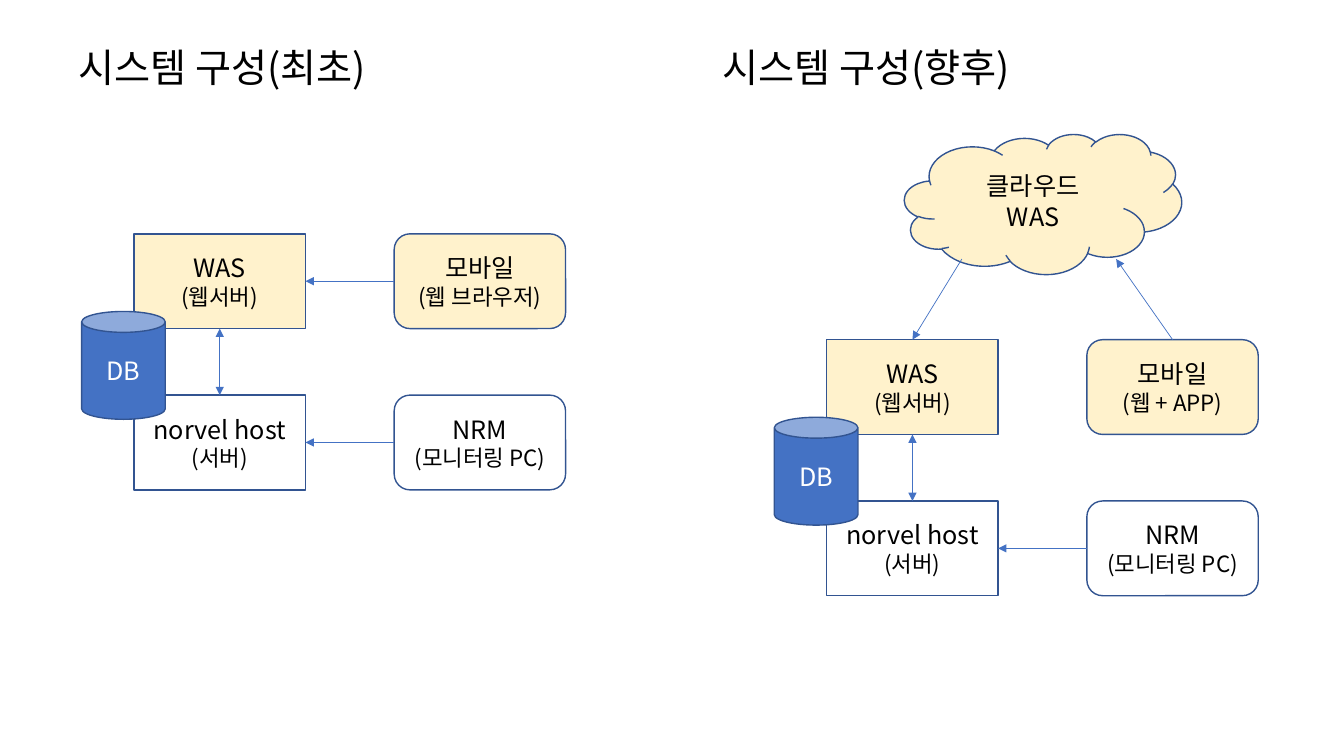
from lxml import etree
from pptx import Presentation
from pptx.dml import color
from pptx.enum import shapes, text
from pptx.oxml import ns
from pptx.util import Inches, Pt

COLORS = {"black": "000000", "white": "FFFFFF", "cream": "FFF2CC",
          "blue": "4472C4", "outline": "325491"}
FONT = "Noto Sans CJK KR"
KIND = shapes.MSO_SHAPE
NODE_WIDTH, NODE_HEIGHT, ROW_PITCH = 1.7, 0.94, 1.6
SERVER_X, CLIENT_X = 0.52, 3.1


def rgb(name):
    """Return the named colour."""
    return color.RGBColor.from_string(COLORS[name])


def write(shape, lines, ink="black", align=text.PP_ALIGN.CENTER):
    """Write (wording, size) lines as paragraphs of a shape."""
    frame = shape.text_frame
    frame.word_wrap = True
    frame.text = "\n".join(wording for wording, size in lines)
    for para, (wording, size) in zip(frame.paragraphs, lines):
        para.alignment = align
        para.font.name = FONT
        para.font.size = Pt(size)
        para.font.color.rgb = rgb(ink)


def add_node(page, kind, box, lines, fill=None, ink="black"):
    """Add an outlined shape with centred text."""
    shape = page.shapes.add_shape(kind, *map(Inches, box))
    shape.shadow.inherit = False
    if fill:
        shape.fill.solid()
        shape.fill.fore_color.rgb = rgb(fill)
    else:
        shape.fill.background()
    shape.line.color.rgb = rgb("outline")
    shape.line.width = Pt(1)
    frame = shape.text_frame
    frame.vertical_anchor = text.MSO_ANCHOR.MIDDLE
    frame.margin_left = frame.margin_right = Inches(0.12)
    write(shape, lines, ink)


def add_arrow(page, start, end, both=False):
    """Add a thin arrow, pointed at both ends if asked."""
    arrow = page.shapes.add_connector(
        shapes.MSO_CONNECTOR.STRAIGHT, *map(Inches, (*start, *end)))
    arrow.line.color.rgb = rgb("blue")
    arrow.line.width = Pt(0.5)
    line = arrow.line._get_or_add_ln()
    for tag in ("a:headEnd", "a:tailEnd") if both else ("a:tailEnd",):
        etree.SubElement(line, ns.qn(tag), type="triangle")
    etree.SubElement(arrow._element.spPr, ns.qn("a:effectLst"))


def add_title(page, left, top, wording):
    """Add the heading of one half of the slide."""
    box = page.shapes.add_textbox(*map(Inches, (left, top, 3.15, 0.57)))
    write(box, [(wording, 28)], align=text.PP_ALIGN.LEFT)


def add_system(page, left, top, mobile_note):
    """Add the servers, their clients and the database."""
    server, client = left + SERVER_X, left + CLIENT_X
    rows = [("WAS", "(웹서버)", "모바일", mobile_note, "cream"),
            ("norvel host", "(서버)", "NRM", "(모니터링 PC)", None)]
    for row, (name, note, device, device_note, fill) in enumerate(rows):
        y = top + row * ROW_PITCH
        add_node(page, KIND.RECTANGLE, (server, y, NODE_WIDTH, NODE_HEIGHT),
                 [(name, 18), (note, 16)], fill)
        add_node(page, KIND.ROUNDED_RECTANGLE,
                 (client, y, NODE_WIDTH, NODE_HEIGHT),
                 [(device, 18), (device_note, 16)], fill)
    middle = server + NODE_WIDTH / 2
    add_arrow(page, (middle, top + NODE_HEIGHT), (middle, top + ROW_PITCH), True)
    add_client_arrow(page, left, top + ROW_PITCH)
    add_node(page, KIND.CAN, (left, top + 0.77, 0.83, 1.07),
             [("DB", 18)], "blue", "white")


def add_client_arrow(page, left, top):
    """Link the client of a row to its server."""
    y = top + NODE_HEIGHT / 2
    add_arrow(page, (left + CLIENT_X, y), (left + SERVER_X + NODE_WIDTH, y))


def add_cloud(page, left, top):
    """Add the cloud above a system and link it to the top row."""
    add_node(page, KIND.CLOUD, (left + 1.29, top - 2.04, 2.75, 1.39),
             [("클라우드", 18), ("WAS", 18)], "cream")
    edge = top - 0.8
    add_arrow(page, (left + CLIENT_X + NODE_WIDTH / 2, top), (left + 3.39, edge))
    add_arrow(page, (left + 1.86, edge), (left + SERVER_X + NODE_WIDTH / 2, top))


def main():
    """Build the slide and save it."""
    deck = Presentation()
    deck.slide_width, deck.slide_height = Inches(13.33), Inches(7.5)
    page = deck.slides.add_slide(deck.slide_layouts[6])
    add_title(page, 0.68, 0.38, "시스템 구성(최초)")
    add_title(page, 7.07, 0.38, "시스템 구성(향후)")
    add_system(page, 0.81, 2.32, "(웹 브라우저)")
    add_client_arrow(page, 0.81, 2.32)
    add_system(page, 7.68, 3.37, "(웹 + APP)")
    add_cloud(page, 7.68, 3.37)
    deck.save("out.pptx")


main()
